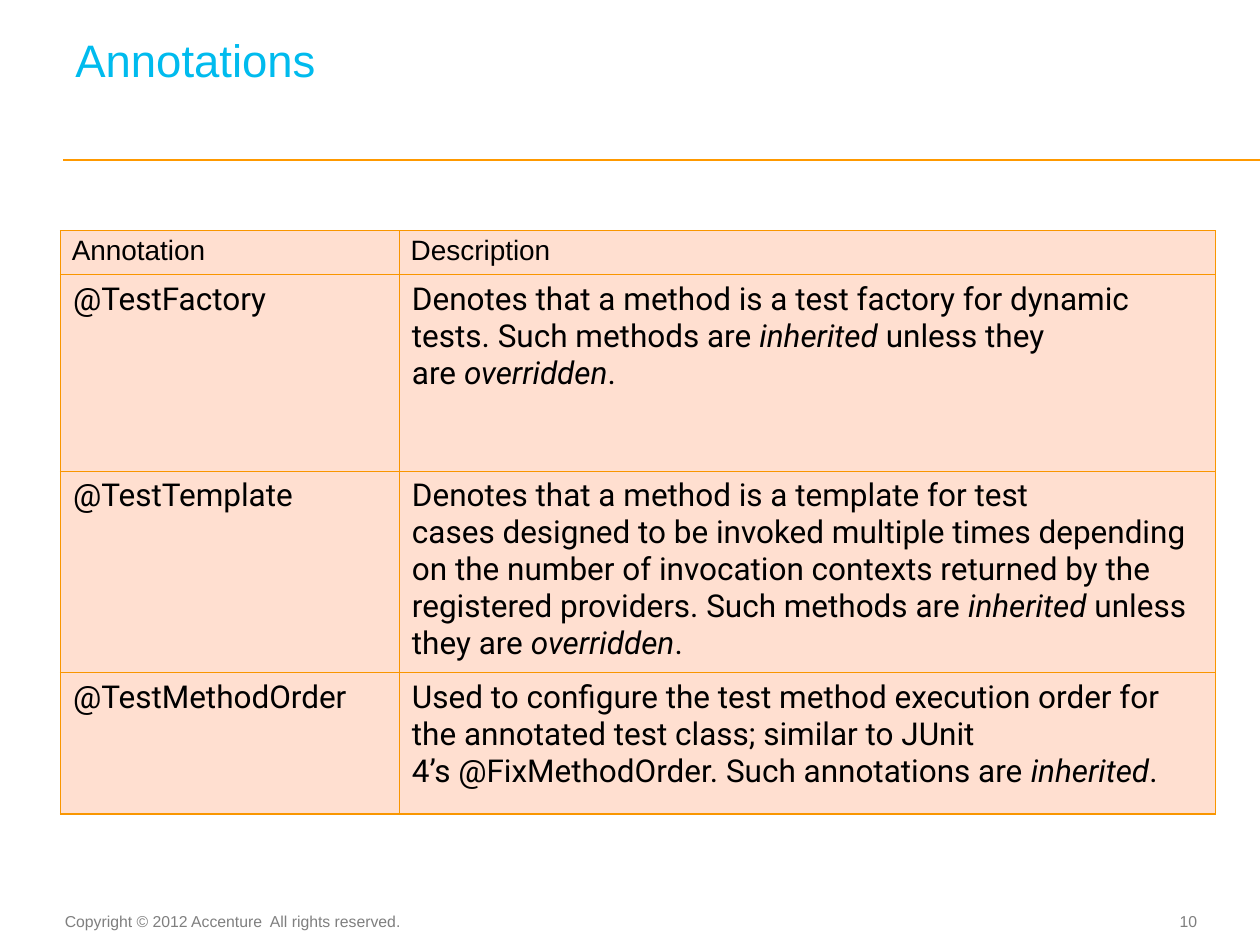
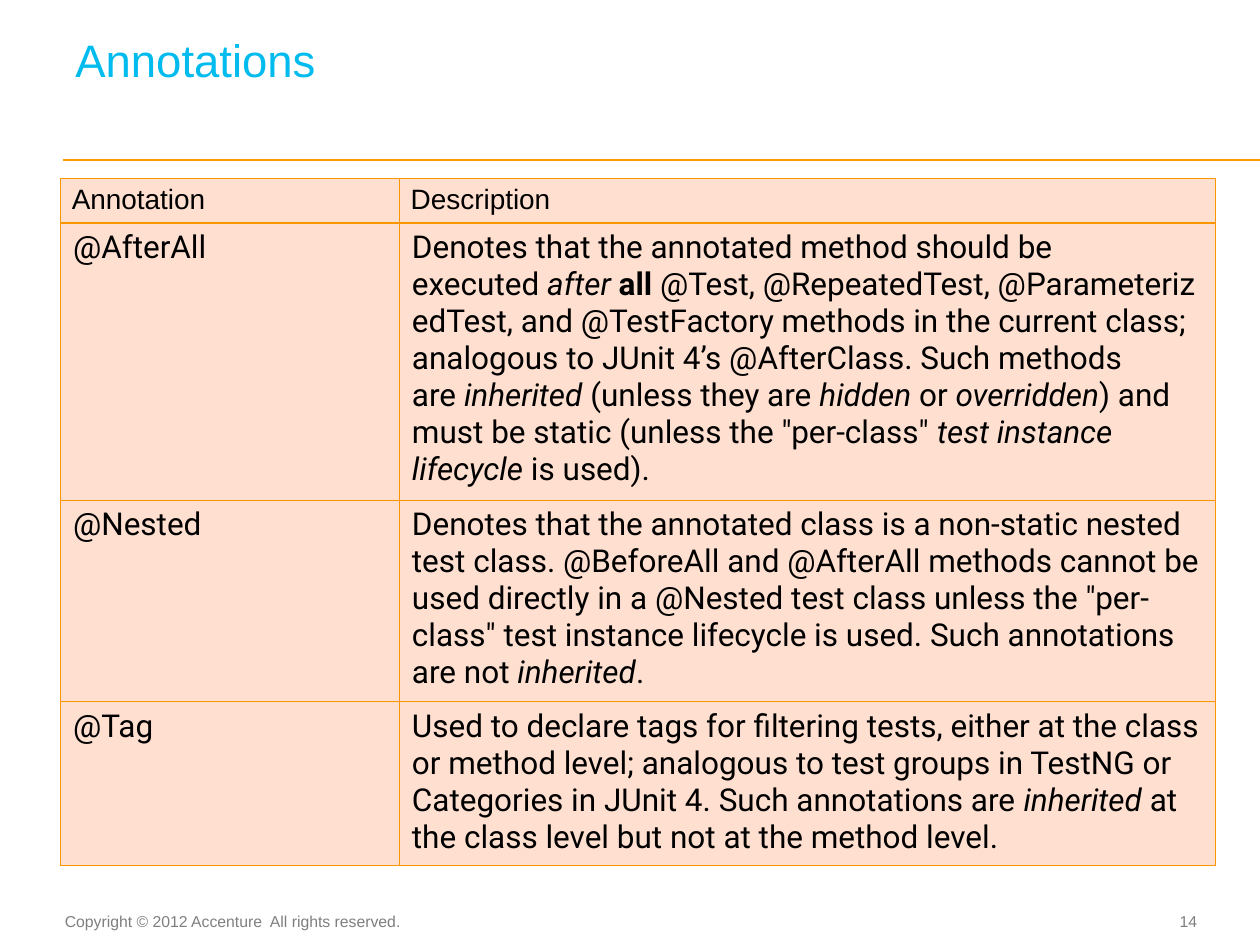
import lxml.etree
import pptx
import pptx.dml.color
import pptx.enum.shapes
import pptx.enum.text
import pptx.oxml.ns
import pptx.util

Inches = pptx.util.Inches
Pt = pptx.util.Pt
RGBColor = pptx.dml.color.RGBColor
ALIGN = pptx.enum.text.PP_ALIGN
ANCHOR = pptx.enum.text.MSO_ANCHOR
qn = pptx.oxml.ns.qn

CYAN = RGBColor(0x00, 0xBB, 0xEE)
ORANGE = RGBColor(0xFF, 0x99, 0x00)
BORDER = RGBColor(0xF9, 0x96, 0x00)
PEACH = RGBColor(0xFF, 0xDF, 0xD0)
GRAY = RGBColor(0x7F, 0x7F, 0x7F)
BLACK = RGBColor(0x00, 0x00, 0x00)

COPYRIGHT = "Copyright © 2012 Accenture  All rights reserved."
HEADER = ("Annotation", "Description")
COLUMN_WIDTHS = (2.69, 6.48)
ROW_HEIGHTS = (0.35, 1.56, 1.12, 1.12)
NO_BREAK_SPACE = chr(160)

TABLES = [
    {"number": 10, "top": 1.83, "height": 4.34, "rows": [
        ("@TestFactory",
         "Denotes that a method is a test factory for~dynamic tests. Such methods are~"
         "_inherited_~unless they are~_overridden_."),
        ("@TestTemplate",
         "Denotes that a method is a~template for test cases~designed to be invoked "
         "multiple times depending on the number of invocation contexts returned by the "
         "registered~providers. Such methods are~_inherited_~unless they are~_overridden_."),
        ("@TestMethodOrder",
         "Used to configure the~test method execution order~for the annotated test class; "
         "similar to JUnit 4’s~@FixMethodOrder. Such annotations are~_inherited_."),
    ]},
    {"number": 14, "top": 1.42, "height": 4.85, "rows": [
        ("@AfterAll",
         "Denotes that the annotated method should be executed~_after~_*all*~@Test,"
         "~@RepeatedTest,~@ParameterizedTest, and~@TestFactory~methods in the current class; "
         "analogous to JUnit 4’s~@AfterClass. Such methods are~_inherited_~(unless they are~"
         "_hidden_~or~_overridden_) and must be~static~(unless the \"per-class\"~"
         "_test instance lifecycle_~is used)."),
        ("@Nested",
         "Denotes that the annotated class is a non-static~nested test class.~@BeforeAll~and"
         "~@AfterAll~methods cannot be used directly in a~@Nested~test class unless the "
         "\"per-class\"~test instance lifecycle~is used. Such annotations are not~_inherited_."),
        ("@Tag",
         "Used to declare~tags for filtering tests, either at the class or method level; "
         "analogous to test groups in TestNG or Categories in JUnit 4. Such annotations are~"
         "_inherited_~at the class level but not at the method level."),
    ]},
]


def write_text(frame, text, size, color=BLACK, font="Arial", align=ALIGN.LEFT, spacing=None):
    """Write text in a frame: _italic_, *bold* and ~ for a no-break space."""
    paragraph = frame.paragraphs[0]
    paragraph.alignment = align
    if spacing:
        paragraph.line_spacing = Pt(spacing)
    for italic_index, part in enumerate(text.replace("~", NO_BREAK_SPACE).split("_")):
        for bold_index, piece in enumerate(part.split("*")):
            if not piece:
                continue
            run = paragraph.add_run()
            run.text = piece
            run.font.name = font
            run.font.size = Pt(size)
            run.font.color.rgb = color
            run.font.italic = italic_index % 2 == 1
            run.font.bold = bold_index % 2 == 1


class Deck:
    """Holds the presentation, its shared style and the current slide."""

    def __init__(self):
        self.presentation = pptx.Presentation()
        self.presentation.slide_width = Inches(10)
        self.presentation.slide_height = Inches(7.5)
        self.slide = None

    def start_slide(self, title, number):
        """Add a slide with the rule, footer and title that all slides share."""
        self.slide = self.presentation.slides.add_slide(self.presentation.slide_layouts[6])
        self.line(0.5, 1.27, 10, 1.27)
        self.text(COPYRIGHT, 0.49, 7.19, 2.81, 0.25, margins=(0, 0.05, 0.1, 0.05),
                  size=9, color=GRAY, align=ALIGN.CENTER)
        self.text(str(number), 8.91, 7.18, 0.59, 0.27, anchor=ANCHOR.MIDDLE,
                  size=9, color=GRAY, align=ALIGN.RIGHT)
        self.text(title, 0.5, 0.19, 8.97, 0.86, margins=(0.1, 0.14, 0, 0),
                  size=26, color=CYAN, spacing=26)

    def line(self, left, top, right, bottom):
        """Draw a thin orange rule."""
        connector = self.slide.shapes.add_connector(
            pptx.enum.shapes.MSO_CONNECTOR.STRAIGHT,
            Inches(left), Inches(top), Inches(right), Inches(bottom))
        connector.line.color.rgb = ORANGE
        connector.line.width = Pt(1)
        properties = connector._element.find(qn("p:spPr"))
        lxml.etree.SubElement(properties, qn("a:effectLst"))

    def text(self, text, left, top, width, height, margins=(0, 0, 0, 0),
             anchor=ANCHOR.TOP, **style):
        """Add a text box."""
        shape = self.slide.shapes.add_textbox(
            Inches(left), Inches(top), Inches(width), Inches(height))
        frame = shape.text_frame
        frame.word_wrap = True
        frame.vertical_anchor = anchor
        (frame.margin_left, frame.margin_top,
         frame.margin_right, frame.margin_bottom) = map(Inches, margins)
        write_text(frame, text, **style)

    def table(self, rows, left, top, height):
        """Add the annotation table under its header row."""
        shape = self.slide.shapes.add_table(
            len(rows) + 1, len(HEADER), Inches(left), Inches(top),
            Inches(sum(COLUMN_WIDTHS)), Inches(height))
        table = shape.table
        table.first_row = False
        table.horz_banding = False
        for column, width in zip(table.columns, COLUMN_WIDTHS):
            column.width = Inches(width)
        for row, row_height in zip(table.rows, ROW_HEIGHTS):
            row.height = Inches(row_height)
        shape.height = Inches(height)
        for row_index, texts in enumerate([HEADER, *rows]):
            for column_index, text in enumerate(texts):
                self.cell(table.cell(row_index, column_index), text, row_index == 0)

    def cell(self, cell, text, is_header):
        """Format and fill one table cell."""
        side, end = (0.09, 0.04) if is_header else (0.1, 0.05)
        cell.margin_left = cell.margin_right = Inches(side)
        cell.margin_top = cell.margin_bottom = Inches(end)
        if is_header:
            write_text(cell.text_frame, text, size=16)
        else:
            write_text(cell.text_frame, text, size=18, font="Roboto")
        properties = cell._tc.get_or_add_tcPr()
        for edge in ("a:lnL", "a:lnR", "a:lnT", "a:lnB"):
            border = lxml.etree.SubElement(properties, qn(edge), w=str(Pt(0.75)))
            fill = lxml.etree.SubElement(border, qn("a:solidFill"))
            lxml.etree.SubElement(fill, qn("a:srgbClr"), val=str(BORDER))
        cell.fill.solid()
        cell.fill.fore_color.rgb = PEACH


def main():
    """Build and save the slides."""
    deck = Deck()
    for content in TABLES:
        deck.start_slide("Annotations", content["number"])
        deck.table(content["rows"], 0.48, content["top"], content["height"])
    deck.presentation.save("out.pptx")


if __name__ == "__main__":
    main()
